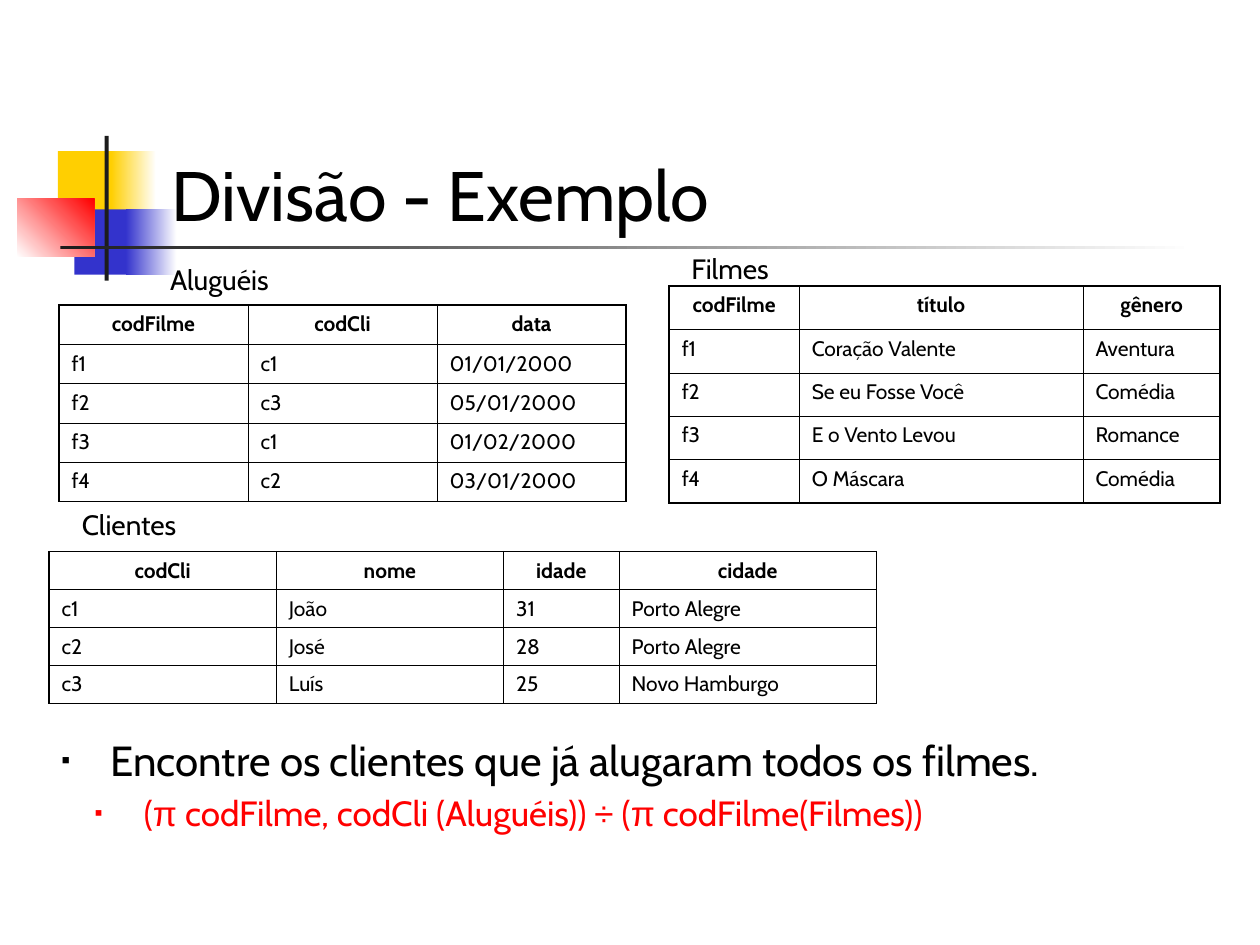
import pptx
import pptx.util
import pptx.dml.color
import pptx.enum.shapes
import pptx.enum.text
import pptx.oxml
import pptx.oxml.ns
from pptx.util import Cm, Pt

FONT = "Cabin"
BLACK, RED, WHITE = "000000", "FF0000", "FFFFFF"
THIN, THICK = Pt(0.45), Pt(1.08)


def color(hex_string):
    return pptx.dml.color.RGBColor.from_string(hex_string)


def set_font(paragraph, size, hex_string=BLACK, bold=False):
    paragraph.font.name = FONT
    paragraph.font.size = Pt(size)
    paragraph.font.bold = bold
    paragraph.font.color.rgb = color(hex_string)


presentation = pptx.Presentation()
presentation.slide_width, presentation.slide_height = Cm(25.4), Cm(19.05)
slide = presentation.slides.add_slide(presentation.slide_layouts[5])

# Corner blocks and rules: left, top, width, height, colours, gradient angle
decorations = [
    (1.17, 3.05, 1.22, 1.32, ["FFCF01"], 0),
    (2.24, 3.05, 0.91, 1.32, ["FFCF01", WHITE], 0),
    (1.5, 4.22, 1.17, 1.32, ["3333CC"], 0),
    (2.54, 4.22, 1.02, 1.32, ["3333CC", WHITE], 0),
    (0.35, 4.01, 1.55, 1.17, [WHITE, RED], 45),
    (2.11, 2.74, 0.08, 2.92, ["1C1C1C"], 0),
    (1.22, 4.95, 22.86, 0.08, ["1C1C1C", WHITE], 0),
]
for left, top, width, height, colors, angle in decorations:
    shape = slide.shapes.add_shape(
        pptx.enum.shapes.MSO_SHAPE.RECTANGLE, Cm(left), Cm(top), Cm(width), Cm(height))
    shape.shadow.inherit = False
    shape.line.fill.background()
    if len(colors) == 1:
        shape.fill.solid()
        shape.fill.fore_color.rgb = color(colors[0])
    else:
        shape.fill.gradient()
        shape.fill.gradient_angle = angle
        for stop, hex_string, position in zip(shape.fill.gradient_stops, colors, (0, 1)):
            stop.color.rgb = color(hex_string)
            stop.position = position

# Title, brought in front of the blocks
title = slide.shapes.title
title.element.getparent().append(title.element)
title.left, title.top, title.width, title.height = Cm(3.2), Cm(1.7), Cm(21.64), Cm(3.18)
title.text_frame.text = "Divisão - Exemplo"
title.text_frame.auto_size = pptx.enum.text.MSO_AUTO_SIZE.NONE
title.text_frame.vertical_anchor = pptx.enum.text.MSO_ANCHOR.BOTTOM
title.text_frame.paragraphs[0].alignment = pptx.enum.text.PP_ALIGN.LEFT
set_font(title.text_frame.paragraphs[0], 40)

# Table captions
for caption, left, top in [("Aluguéis", 3.18, 5.16), ("Clientes", 1.4, 10.11),
                           ("Filmes", 13.69, 4.95)]:
    text_box = slide.shapes.add_textbox(Cm(left), Cm(top), Cm(5.82), Cm(0.94))
    text_box.text_frame.word_wrap = True
    text_box.text_frame.text = caption
    set_font(text_box.text_frame.paragraphs[0], 16)

# Tables: left, top, height, column widths, right and bottom edge, rows
tables = [
    (1.19, 6.15, 3.96, [3.81, 3.81, 3.81], THICK, [
        ["codFilme", "codCli", "data"],
        ["f1", "c1", "01/01/2000"],
        ["f2", "c3", "05/01/2000"],
        ["f3", "c1", "01/02/2000"],
        ["f4", "c2", "03/01/2000"]]),
    (13.49, 5.77, 4.37, [2.62, 5.72, 2.77], THICK, [
        ["codFilme", "título", "gênero"],
        ["f1", "Coração Valente", "Aventura"],
        ["f2", "Se eu Fosse Você", "Comédia"],
        ["f3", "E o Vento Levou", "Romance"],
        ["f4", "O Máscara", "Comédia"]]),
    (0.99, 11.12, 3.05, [4.58, 4.58, 2.33, 5.19], THIN, [
        ["codCli", "nome", "idade", "cidade"],
        ["c1", "João", "31", "Porto Alegre"],
        ["c2", "José", "28", "Porto Alegre"],
        ["c3", "Luís", "25", "Novo Hamburgo"]]),
]
for left, top, height, widths, far_edge, rows in tables:
    table = slide.shapes.add_table(
        len(rows), len(widths), Cm(left), Cm(top), Cm(sum(widths)), Cm(height)).table
    table.horz_banding = False
    for column, width in zip(table.columns, widths):
        column.width = Cm(width)
    for row_index, row in enumerate(rows):
        for column_index, text in enumerate(row):
            cell = table.cell(row_index, column_index)
            cell.text = text
            paragraph = cell.text_frame.paragraphs[0]
            set_font(paragraph, 12, bold=row_index == 0)
            if row_index == 0:
                paragraph.alignment = pptx.enum.text.PP_ALIGN.CENTER
            # Thick outer frame, thin inner lines; borders go before the fill
            properties = cell._tc.get_or_add_tcPr()
            borders = {
                "lnL": THICK if column_index == 0 else THIN,
                "lnR": far_edge if column_index == len(row) - 1 else THIN,
                "lnT": THICK if row_index == 0 else THIN,
                "lnB": far_edge if row_index == len(rows) - 1 else THIN,
            }
            for tag, line_width in borders.items():
                properties.append(pptx.oxml.parse_xml(
                    f'<a:{tag} {pptx.oxml.ns.nsdecls("a")} w="{line_width}"><a:solidFill>'
                    f'<a:srgbClr val="{BLACK}"/></a:solidFill></a:{tag}>'))
            cell.fill.background()

# Question and its answer in relational algebra
text_box = slide.shapes.add_textbox(Cm(0.99), Cm(14.68), Cm(23.22), Cm(2.29))
text_frame = text_box.text_frame
text_frame.word_wrap = True
bullets = [
    (0.99, 24, BLACK, 60, ["Encontre os clientes que já alugaram todos os filmes."]),
    (1.66, 20, RED, 65, ["(", "π", " codFilme, codCli (Aluguéis)) ", "÷", " (", "π",
                         " codFilme(Filmes))"]),
]
for index, (margin, size, hex_string, bullet_size, texts) in enumerate(bullets):
    paragraph = text_frame.add_paragraph() if index else text_frame.paragraphs[0]
    paragraph.level = index
    properties = paragraph._p.get_or_add_pPr()
    properties.set("marL", str(Cm(margin)))
    properties.set("indent", str(Cm(-0.99)))
    for element in (f'buClr {{}}><a:srgbClr val="{hex_string}"/></a:buClr>',
                    f'buSzPct {{}} val="{bullet_size * 1000}"/>',
                    'buFont {} typeface="Arial"/>',
                    'buChar {} char="▪"/>'):
        properties.append(pptx.oxml.parse_xml(
            "<a:" + element.format(pptx.oxml.ns.nsdecls("a"))))
    set_font(paragraph, size, hex_string)
    if index:
        paragraph.space_before = Pt(4)
    for text in texts:
        run = paragraph.add_run()
        run.text = text
        if text in ("π", "÷"):
            run.font.name = "Arial"

presentation.save("out.pptx")
